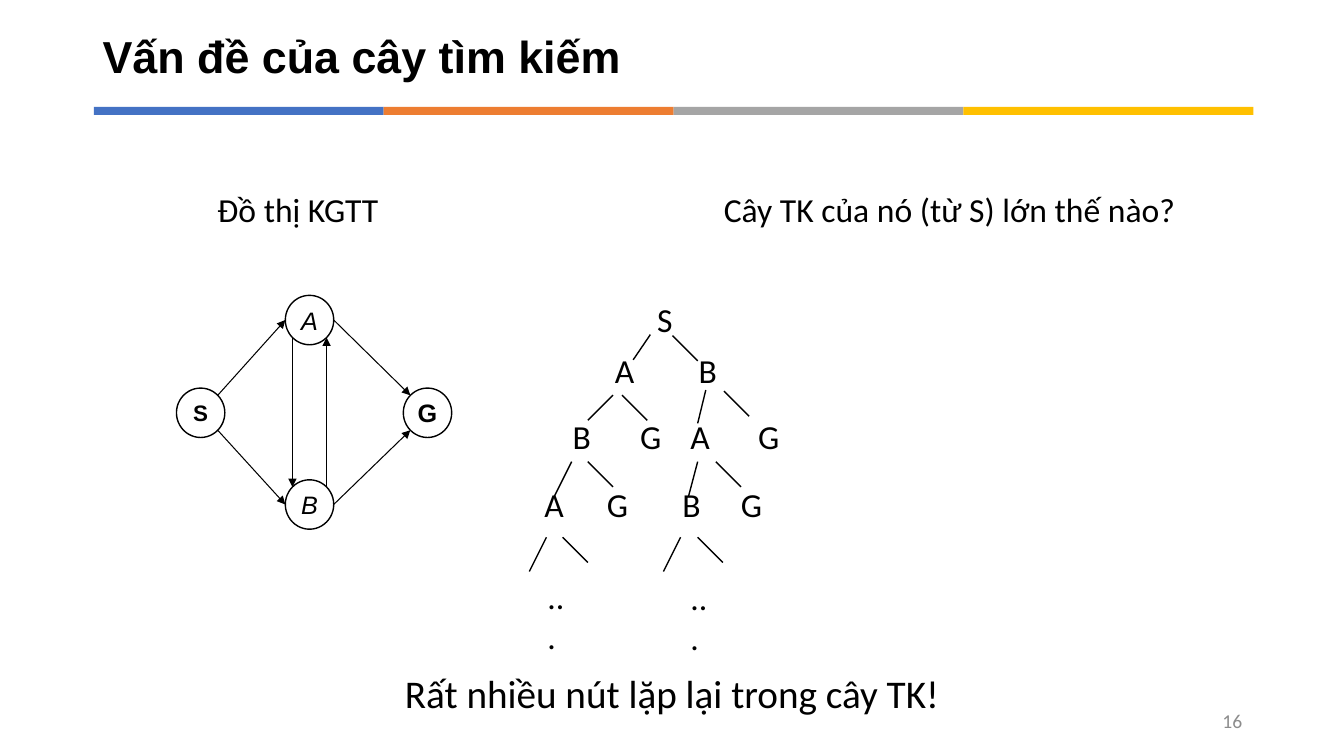
"""Build the slide on repeated nodes in a search tree."""
from math import sqrt

from lxml import etree
from pptx import Presentation
from pptx.dml.color import RGBColor
from pptx.enum.shapes import MSO_CONNECTOR as Line, MSO_SHAPE as Preset
from pptx.enum.text import MSO_ANCHOR as Anchor, PP_ALIGN as Align
from pptx.oxml.ns import qn
from pptx.util import Pt

PX = 9144
WIDTH, HEIGHT = 1333, 750
COLORS = {"ink": "000000", "number": "8C8C8C", "blue": "4472C4",
          "orange": "ED7D31", "gray": "A5A5A5", "gold": "FFC000"}

BAR = {"left": 93, "top": 106, "width": 1150, "height": 8}
BAR_COLORS = ["blue", "orange", "gray", "gold"]

TEXTS = [
    ("Vấn đề của cây tìm kiếm", (92, 23, 1150, 71),
     {"size": 32, "name": "Arial", "bold": True}, {"anchor": Anchor.MIDDLE, "spacing": 0.9}),
    ("Đồ thị KGTT", (108, 183, 375, 50), {"size": 24}, {"align": Align.CENTER}),
    ("Cây TK của nó (từ S) lớn thế nào?", (708, 183, 558, 50), {"size": 24}, {}),
    ("Rất nhiều nút lặp lại trong cây TK!", (233, 659, 867, 57),
     {"size": 28}, {"align": Align.CENTER}),
    ("16", (942, 695, 300, 40), {"size": 14, "color": "number"},
     {"anchor": Anchor.MIDDLE, "align": Align.RIGHT}),
    ("...", (533, 566, 43, 50), {"size": 24}, {}),
    ("...", (675, 567, 43, 50), {"size": 24}, {}),
]

NODE_WIDTH, NODE_HEIGHT = 48, 49
NODES = {
    "S": (175, 385, {"size": 16, "bold": True}),
    "G": (400, 385, {"size": 18, "bold": True}),
    "B": (283, 476, {"size": 18, "italic": True}),
    "A": (283, 293, {"size": 18, "italic": True}),
}
DIAGONAL = sqrt(0.5)
SITES = {"left": (-1, 0), "right": (1, 0),
         "top left": (-DIAGONAL, -DIAGONAL), "top right": (DIAGONAL, -DIAGONAL),
         "bottom left": (-DIAGONAL, DIAGONAL), "bottom right": (DIAGONAL, DIAGONAL)}
EDGES = [
    ("S", "bottom right", "B", "left"),
    ("S", "top right", "A", "left"),
    ("A", "bottom left", "B", "top left"),
    ("B", "top right", "A", "bottom right"),
    ("A", "right", "G", "top left"),
    ("B", "right", "G", "bottom left"),
]

LETTER_WIDTHS = {"S": 33, "A": 36, "B": 38, "G": 41}
TREE_ROWS = [
    (292, [("S", 642)]),
    (342, [("A", 600), ("B", 683)]),
    (408, [("B", 558), ("G", 625), ("A", 675), ("G", 742)]),
    (475, [("A", 530), ("G", 592), ("B", 667), ("G", 725)]),
]
RIGHT_STEP = 25
RIGHT_BRANCHES = [(667, 333), (617, 392), (718, 388), (583, 458),
                  (710, 458), (558, 533), (692, 533)]
LEFT_BRANCHES = [(645, 332, 628, 357), (608, 392, 583, 417), (700, 387, 692, 420),
                 (567, 458, 550, 492), (692, 458, 683, 492),
                 (542, 533, 525, 567), (675, 533, 658, 567)]


def emu(*lengths):
    return [round(length * PX) for length in lengths]


def write(shape, text, font, anchor=Anchor.TOP, align=Align.LEFT, spacing=None, wrap=True):
    frame = shape.text_frame
    frame.word_wrap = wrap
    frame.vertical_anchor = anchor
    paragraph = frame.paragraphs[0]
    paragraph.alignment = align
    paragraph.line_spacing = spacing
    run = paragraph.add_run()
    run.text = text
    values = {"name": "Calibri", "color": "ink", **font}
    run.font.color.rgb = RGBColor.from_string(COLORS[values.pop("color")])
    values["size"] = Pt(values["size"])
    for key, value in values.items():
        setattr(run.font, key, value)


def add_text(slide, text, box, font, **layout):
    write(slide.shapes.add_textbox(*emu(*box)), text, font, **layout)


def add_line(slide, points, weight, arrow=False):
    connector = slide.shapes.add_connector(Line.STRAIGHT, *emu(*points))
    connector.line.color.rgb = RGBColor.from_string(COLORS["ink"])
    connector.line.width = Pt(weight)
    if arrow:
        tail = etree.SubElement(connector.line._get_or_add_ln(), qn("a:tailEnd"))
        tail.set("type", "triangle")
    etree.SubElement(connector._element.spPr, qn("a:effectLst"))


def add_bar(slide):
    step = BAR["width"] / len(BAR_COLORS)
    for index, color in enumerate(BAR_COLORS):
        box = emu(BAR["left"] + index * step, BAR["top"], step, BAR["height"])
        shape = slide.shapes.add_shape(Preset.RECTANGLE, *box)
        shape.shadow.inherit = False
        shape.fill.solid()
        shape.fill.fore_color.rgb = RGBColor.from_string(COLORS[color])
        shape.line.fill.background()


def node_point(name, site):
    left, top, _ = NODES[name]
    across, down = SITES[site]
    return (left + NODE_WIDTH / 2 * (1 + across), top + NODE_HEIGHT / 2 * (1 + down))


def add_graph(slide):
    for name, (left, top, font) in NODES.items():
        box = emu(left, top, NODE_WIDTH, NODE_HEIGHT)
        shape = slide.shapes.add_shape(Preset.FLOWCHART_CONNECTOR, *box)
        shape.shadow.inherit = False
        shape.fill.background()
        shape.line.color.rgb = RGBColor.from_string(COLORS["ink"])
        shape.line.width = Pt(1)
        write(shape, name, {"name": "Arial", **font},
              anchor=Anchor.MIDDLE, align=Align.CENTER, wrap=False)
    for start, start_site, end, end_site in EDGES:
        points = node_point(start, start_site) + node_point(end, end_site)
        add_line(slide, points, 0.75, arrow=True)


def add_tree(slide):
    for top, letters in TREE_ROWS:
        for letter, left in letters:
            box = (left, top, LETTER_WIDTHS[letter], 50)
            add_text(slide, letter, box, {"size": 24}, wrap=False)
    right = [(x, y, x + RIGHT_STEP, y + RIGHT_STEP) for x, y in RIGHT_BRANCHES]
    for points in right + LEFT_BRANCHES:
        add_line(slide, points, 1)


def main():
    presentation = Presentation()
    presentation.slide_width, presentation.slide_height = emu(WIDTH, HEIGHT)
    slide = presentation.slides.add_slide(presentation.slide_layouts[6])
    add_bar(slide)
    for text, box, font, layout in TEXTS:
        add_text(slide, text, box, font, **layout)
    add_graph(slide)
    add_tree(slide)
    presentation.save("out.pptx")


if __name__ == "__main__":
    main()
